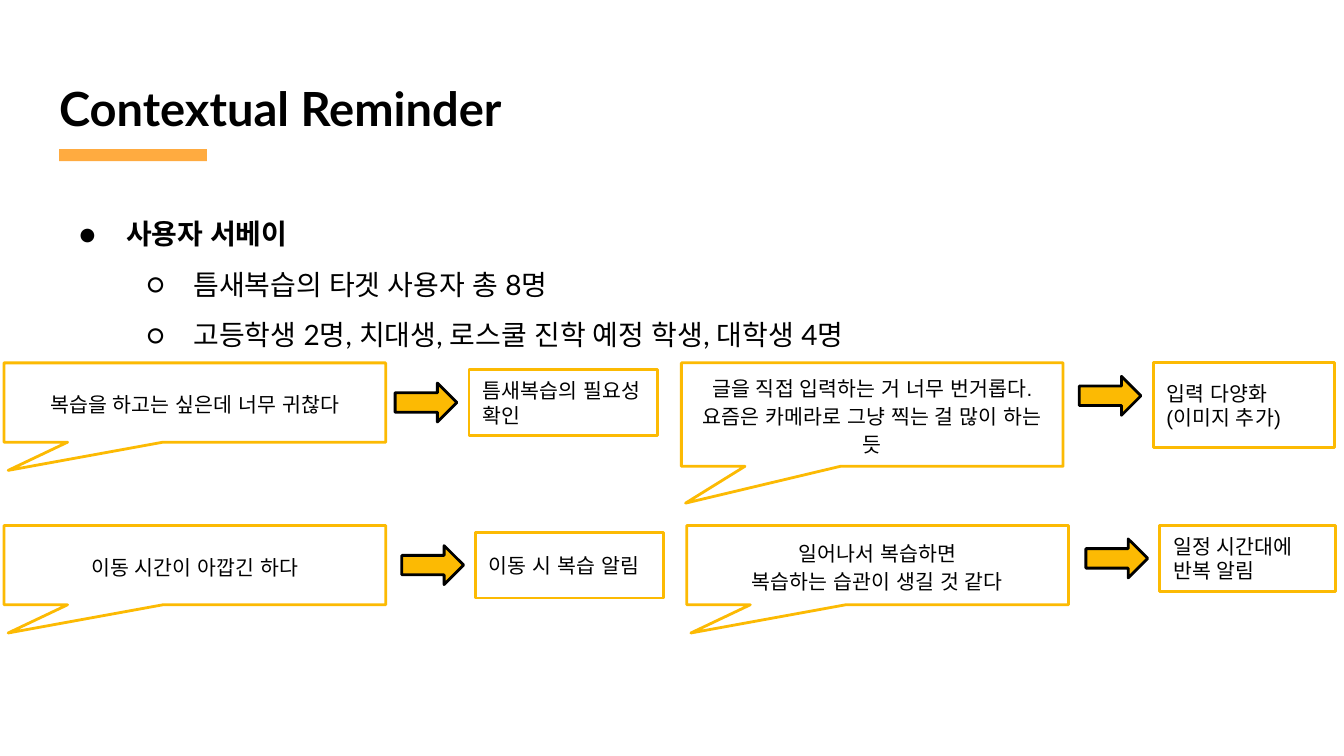
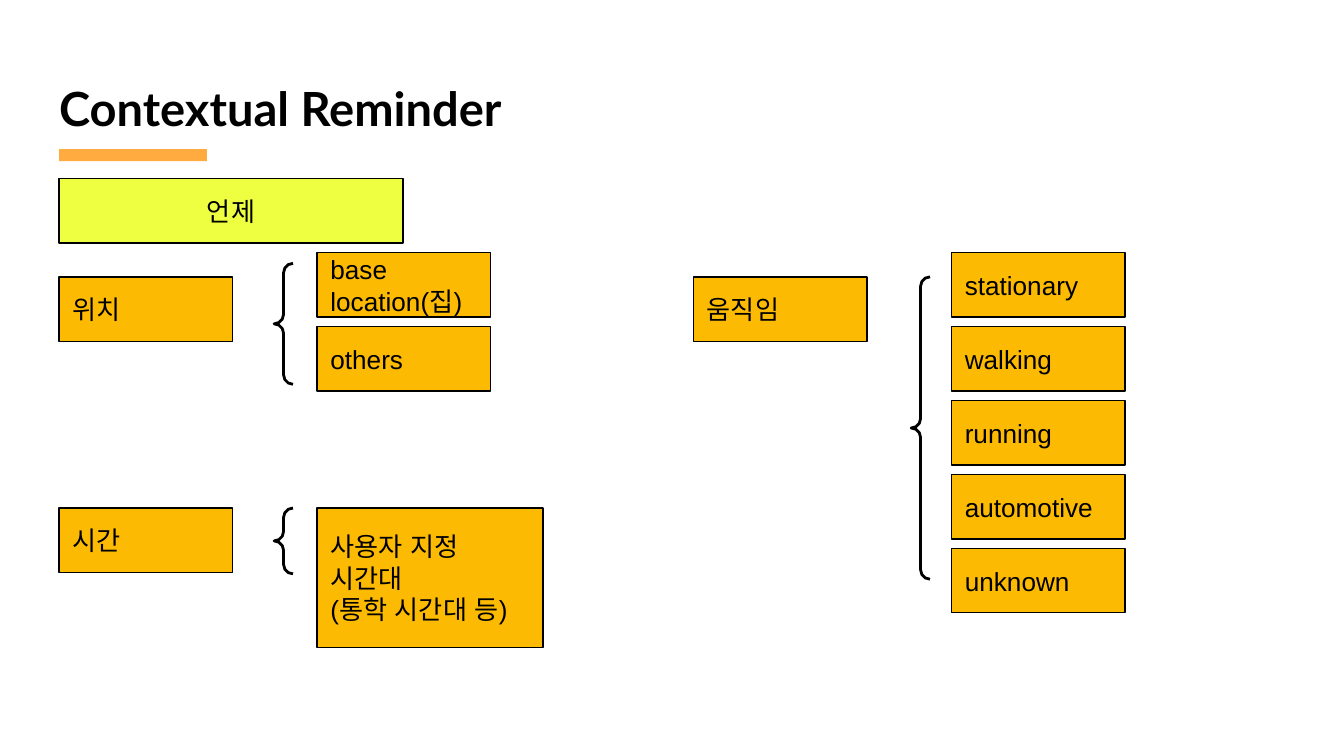
import lxml.etree
import pptx
import pptx.dml.color
import pptx.enum.shapes
import pptx.enum.text
import pptx.oxml.ns
import pptx.util

RGBColor = pptx.dml.color.RGBColor
SHAPE = pptx.enum.shapes.MSO_SHAPE
ALIGN = pptx.enum.text.PP_ALIGN
ANCHOR = pptx.enum.text.MSO_ANCHOR

# One px is a hundredth of an inch
EMU_PER_PX = 9144

BLACK = RGBColor(0x00, 0x00, 0x00)
AMBER = RGBColor(0xFC, 0xBA, 0x03)
ORANGE = RGBColor(0xFF, 0xAB, 0x40)
YELLOW = RGBColor(0xEE, 0xFF, 0x41)

TITLE_FONT = {"name": "Lato", "size": pptx.util.Pt(25.2), "bold": True}
HEADING_FONT = {"name": "Lato", "size": pptx.util.Pt(15), "bold": True}
BODY_FONT = {"name": "Lato", "size": pptx.util.Pt(15), "bold": False}
SURVEY_FONT = {"name": "Arial", "size": pptx.util.Pt(11)}
CONTEXT_FONT = {"name": "Arial", "size": pptx.util.Pt(14)}

LEFT_TEXT = {"alignment": ALIGN.LEFT}
CENTRED_TEXT = {"alignment": ALIGN.CENTER}
QUOTE_TEXT = {"alignment": ALIGN.CENTER, "line_spacing": 1.15}
BULLET_TEXT = {"alignment": ALIGN.LEFT, "line_spacing": 1.5}

BOX_WIDTH, BOX_HEIGHT, BOX_PITCH = 129, 48, 55

# Quote: left, top, height, lines; need: left, top, width, height, lines
SURVEY = [
    ((3, 270, 59, ["복습을 하고는 싶은데 너무 귀찮다"]),
     (349, 275, 140, 49, ["틈새복습의 필요성 확인"])),
    ((3, 391, 59, ["이동 시간이 아깝긴 하다"]),
     (354, 396, 140, 49, ["이동 시 복습 알림"])),
    ((507, 270, 77, ["글을 직접 입력하는 거 너무 번거롭다. 요즘은 카메라로 그냥 찍는 걸 많이 하는 듯"]),
     (858, 270, 135, 63, ["입력 다양화", "(이미지 추가)"])),
    ((511, 391, 59, ["일어나서 복습하면", "복습하는 습관이 생길 것 같다"]),
     (863, 391, 131, 49, ["일정 시간대에 반복 알림"])),
]


def px(length):
    return pptx.util.Emu(length * EMU_PER_PX)


def set_values(target, values):
    for name, value in values.items():
        setattr(target, name, value)


def add_element(parent, tag, **attributes):
    return lxml.etree.SubElement(parent, pptx.oxml.ns.qn(tag), attributes)


def prepare_frame(frame, anchor):
    margins = {f"margin_{side}": px(10) for side in ("left", "top", "right", "bottom")}
    set_values(frame, {
        "word_wrap": True,
        "auto_size": pptx.enum.text.MSO_AUTO_SIZE.NONE,
        "vertical_anchor": anchor,
        **margins,
    })


def write_line(frame, index, text, font, layout):
    para = frame.paragraphs[0] if index == 0 else frame.add_paragraph()
    set_values(para, layout)
    span = para.add_run()
    span.text = text
    set_values(span.font, font)
    span.font.color.rgb = BLACK
    # Korean text needs the typeface in its own slot
    for tag in ("a:ea", "a:cs", "a:sym"):
        add_element(span._r.get_or_add_rPr(), tag, typeface=font["name"])
    return para


def add_bullet(para, symbol, indent):
    properties = para._p.get_or_add_pPr()
    properties.set("marL", str(px(indent)))
    properties.set("indent", str(px(-35)))
    colour = add_element(properties, "a:buClr")
    add_element(colour, "a:srgbClr", val=str(BLACK))
    add_element(properties, "a:buFont", typeface=BODY_FONT["name"])
    add_element(properties, "a:buChar", char=symbol)


def add_figure(page, kind, place, fill=None, line=None, weight=1.5, adjust=()):
    figure = page.shapes.add_shape(kind, *map(px, place))
    figure.shadow.inherit = False
    if fill is None:
        figure.fill.background()
    else:
        figure.fill.solid()
        figure.fill.fore_color.rgb = fill
    if line is None:
        figure.line.fill.background()
    else:
        figure.line.color.rgb = line
        figure.line.width = pptx.util.Pt(weight)
    for index, value in enumerate(adjust):
        figure.adjustments[index] = value
    return figure


def fill_text(figure, lines, font, layout):
    prepare_frame(figure.text_frame, ANCHOR.MIDDLE)
    for index, text in enumerate(lines):
        write_line(figure.text_frame, index, text, font, layout)


def add_titled_page(deck):
    page = deck.slides.add_slide(deck.slide_layouts[5])
    title = page.shapes.title
    set_values(title, {"left": px(34), "top": px(49), "width": px(932), "height": px(63)})
    prepare_frame(title.text_frame, ANCHOR.TOP)
    write_line(title.text_frame, 0, "Contextual Reminder", TITLE_FONT, LEFT_TEXT)
    add_figure(page, SHAPE.RECTANGLE, (44, 111, 110, 9), fill=ORANGE)
    return page


def add_outline(page):
    box = page.shapes.add_textbox(*map(px, (34, 139, 932, 374)))
    prepare_frame(box.text_frame, ANCHOR.TOP)
    items = [
        (0, "사용자 서베이"),
        (1, "틈새복습의 타겟 사용자 총 8명"),
        (1, "고등학생 2명, 치대생, 로스쿨 진학 예정 학생, 대학생 4명"),
    ]
    for index, (level, text) in enumerate(items):
        font = BODY_FONT if level else HEADING_FONT
        para = write_line(box.text_frame, index, text, font, BULLET_TEXT)
        para.level = level
        add_bullet(para, "●○"[level], 50 * (level + 1))


def add_quote(page, left, top, height, lines):
    callout = add_figure(page, SHAPE.RECTANGULAR_CALLOUT, (left, top, 284, height),
                         line=AMBER, adjust=(-0.489, 0.856))
    fill_text(callout, lines, SURVEY_FONT, QUOTE_TEXT)


def add_need(page, left, top, width, height, lines):
    add_figure(page, SHAPE.RIGHT_ARROW, (left - 55, top + 10, 46, 29),
               fill=AMBER, line=BLACK)
    box = add_figure(page, SHAPE.RECTANGLE, (left, top, width, height), line=AMBER)
    fill_text(box, lines, SURVEY_FONT, LEFT_TEXT)


def add_context(page, left, top, lines, width=BOX_WIDTH, height=BOX_HEIGHT,
                fill=AMBER, layout=LEFT_TEXT):
    box = add_figure(page, SHAPE.RECTANGLE, (left, top, width, height),
                     fill=fill, line=BLACK, weight=0.75)
    fill_text(box, lines, CONTEXT_FONT, layout)


def add_context_stack(page, left, top, labels):
    for index, label in enumerate(labels):
        add_context(page, left, top + index * BOX_PITCH, [label])


def add_brace(page, left, top, height):
    add_figure(page, SHAPE.LEFT_BRACE, (left, top, 14, height),
               line=BLACK, adjust=(0.5, 0.5))


def build_survey_page(deck):
    page = add_titled_page(deck)
    add_outline(page)
    for quote, need in SURVEY:
        add_quote(page, *quote)
        add_need(page, *need)


def build_context_page(deck):
    page = add_titled_page(deck)
    # Question and its three kinds of context
    add_context(page, 44, 133, ["언제"], width=256, fill=YELLOW, layout=CENTRED_TEXT)
    for left, top, label in [(44, 206, "위치"), (516, 206, "움직임"), (44, 378, "시간")]:
        add_context(page, left, top, [label])
    # Possible values
    add_context_stack(page, 236, 188, ["base location(집)", "others"])
    add_context_stack(page, 708, 188,
                      ["stationary", "walking", "running", "automotive", "unknown"])
    add_context(page, 236, 378, ["사용자 지정 시간대", "(통학 시간대 등)"],
                width=168, height=104)
    # Braces between them
    for left, top, height in [(204, 196, 90), (678, 206, 225), (204, 378, 49)]:
        add_brace(page, left, top, height)


def main():
    deck = pptx.Presentation()
    # Widescreen, 16 to 9
    set_values(deck, {"slide_width": px(1000), "slide_height": px(1000) * 9 // 16})
    build_survey_page(deck)
    build_context_page(deck)
    deck.save("out.pptx")


if __name__ == "__main__":
    main()
